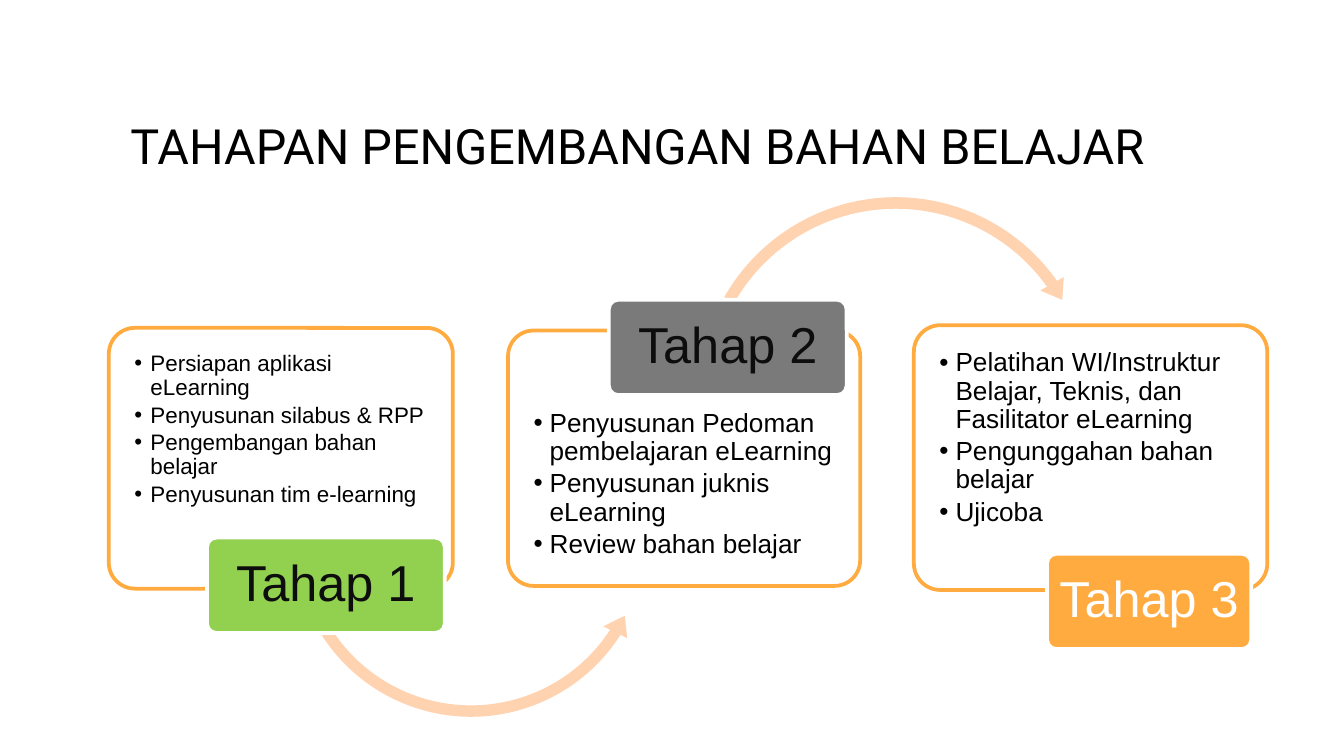
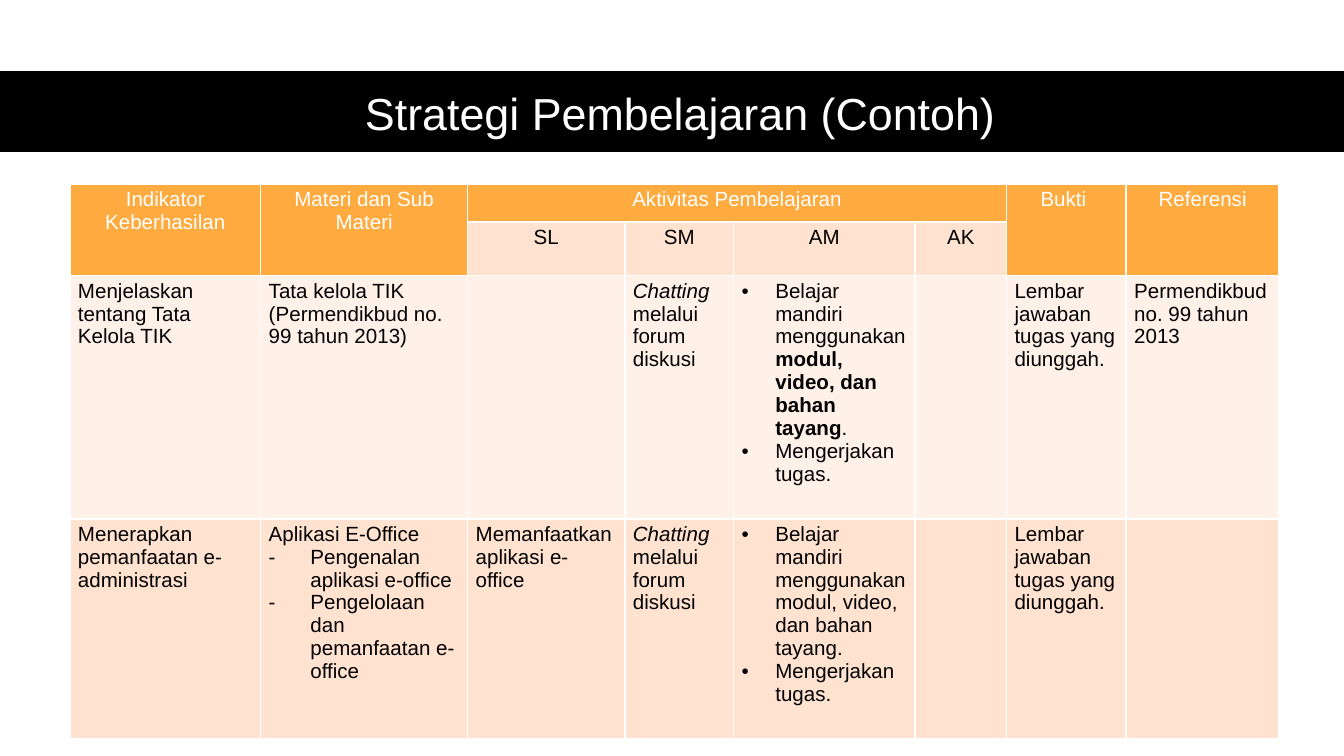
from collections import namedtuple

from lxml import etree
from pptx import Presentation
from pptx import util as u
from pptx.dml.color import RGBColor
from pptx.enum import shapes, text
from pptx.oxml import ns

BLACK, WHITE, ORANGE = "000000", "FFFFFF", "FFAB40"
PEACH, LIGHT_PEACH, PALE_PEACH = "FFD2B0", "FFE2CF", "FFF1E8"
INK, GRAY, GREEN = "0D0D0D", "7A7A7A", "92D050"

Arrow = namedtuple("Arrow", "kind offset size adjustments")
Card = namedtuple("Card", "box size list_top items label label_box label_fill label_color arrow")
Bullet = namedtuple("Bullet", "mark indent runs")


# Shared helpers
def color(hex_value):
    return RGBColor.from_string(hex_value)


def inches(*lengths):
    return [u.Inches(length) for length in lengths]


def child(parent, tag, **attributes):
    return etree.SubElement(parent, ns.qn(tag), **attributes)


def add_solid(parent, hex_value):
    child(child(parent, "a:solidFill"), "a:srgbClr", val=hex_value)


def set_bullet(paragraph, mark, indent):
    properties = paragraph._p.get_or_add_pPr()
    properties.set("marL", str(u.Inches(indent)))
    properties.set("indent", str(-u.Inches(indent)))
    child(child(properties, "a:buClr"), "a:srgbClr", val=BLACK)
    child(properties, "a:buFont", typeface="Arial")
    child(properties, "a:buChar", char=mark)


def set_font(paragraph, size, hex_value, name="Arial"):
    for run in paragraph.runs:
        run.font.size = u.Pt(size)
        run.font.name = name
        run.font.color.rgb = color(hex_value)


def set_frame(frame, side, top, anchor):
    frame.margin_left = frame.margin_right = u.Inches(side)
    frame.margin_top = frame.margin_bottom = u.Inches(top)
    frame.vertical_anchor = anchor
    frame.word_wrap = True
    frame.auto_size = text.MSO_AUTO_SIZE.NONE


def add_shape(slide, kind, box, fill, line=None, adjustments=()):
    shape = slide.shapes.add_shape(kind, *inches(*box))
    shape.shadow.inherit = False
    shape.fill.solid()
    shape.fill.fore_color.rgb = color(fill)
    if line:
        shape.line.color.rgb = color(line)
        shape.line.width = u.Pt(2)
    else:
        shape.line.fill.background()
    for index, value in enumerate(adjustments):
        shape.adjustments[index] = value
    return shape


def add_title_slide(presentation, title, box, size, hex_value, font, align, anchor, margins):
    slide = presentation.slides.add_slide(presentation.slide_layouts[5])
    shape = slide.shapes.title
    shape.left, shape.top, shape.width, shape.height = inches(*box)
    frame = shape.text_frame
    frame.text = title
    set_frame(frame, *margins, anchor)
    frame.paragraphs[0].alignment = align
    set_font(frame.paragraphs[0], size, hex_value, font)
    return slide


# Stage cards
ROUND = shapes.MSO_SHAPE.ROUNDED_RECTANGLE
CARDS = [
    Card((0.81, 2.44, 2.56, 1.94), 12, 0.04,
         ["Persiapan aplikasi eLearning", "Penyusunan silabus & RPP",
          "Pengembangan bahan belajar", "Penyusunan tim e-learning"],
         "Tahap 1", (0.73, 1.56, 1.77), GREEN, INK,
         Arrow(shapes.MSO_SHAPE.LEFT_CIRCULAR_ARROW, (1.32, 0.2), 2.75,
               (0.031, 3.807, 19.634, 88.317, 0.036))),
    Card((3.78, 2.46, 2.62, 1.9), 14, 0.45,
         ["Penyusunan Pedoman pembelajaran eLearning",
          "Penyusunan juknis eLearning", "Review bahan belajar"],
         "Tahap 2", (0.75, -0.23, 1.77), GRAY, INK,
         Arrow(shapes.MSO_SHAPE.CIRCULAR_ARROW, (1.36, -1.05), 3.05,
               (0.028, 3.414, 194.827, 125.751, 0.033))),
    Card((6.8, 2.42, 2.63, 1.97), 14, 0.04,
         ["Pelatihan WI/Instruktur Belajar, Teknis, dan Fasilitator eLearning",
          "Pengunggahan bahan belajar", "Ujicoba"],
         "Tahap 3", (0.99, 1.7, 1.52), ORANGE, WHITE, None),
]


def add_card(slide, card):
    left, top, width, height = card.box
    panel = add_shape(slide, ROUND, card.box, WHITE, ORANGE, [0.1])
    fill_color = panel.element.spPr.find(ns.qn("a:solidFill"))[0]
    child(fill_color, "a:alpha", val="90000")

    # Bulleted tasks
    list_box = inches(left + 0.05, top + card.list_top, width - 0.09, height - 0.5)
    frame = slide.shapes.add_textbox(*list_box).text_frame
    set_frame(frame, 0.14, 0.14, text.MSO_ANCHOR.TOP)
    frame.text = "\n".join(card.items)
    for paragraph in frame.paragraphs:
        paragraph.level = 1
        set_bullet(paragraph, "•", 0.12)
        paragraph.line_spacing = 0.9
        paragraph.space_after = u.Pt(card.size * 0.15)
        set_font(paragraph, card.size, BLACK)

    # Arrow to the next stage, under the label
    if card.arrow:
        kind, (right, down), size, adjustments = card.arrow
        add_shape(slide, kind, (left + right, top + down, size, size), PEACH,
                  adjustments=adjustments)

    right, down, label_width = card.label_box
    label = add_shape(slide, ROUND, (left + right, top + down, label_width, 0.71),
                      card.label_fill, WHITE, [0.1])
    frame = label.text_frame
    set_frame(frame, 0.06, 0.04, text.MSO_ANCHOR.MIDDLE)
    frame.word_wrap = False
    frame.text = card.label
    paragraph = frame.paragraphs[0]
    paragraph.alignment = text.PP_ALIGN.CENTER
    paragraph.line_spacing = 0.9
    set_font(paragraph, 27, card.label_color)


def build_stages(presentation):
    slide = add_title_slide(
        presentation, "TAHAPAN PENGEMBANGAN BAHAN BELAJAR", (0.87, 0.76, 8.26, 0.63),
        26, BLACK, "Roboto", text.PP_ALIGN.LEFT, text.MSO_ANCHOR.TOP, (0.1, 0.1))
    for card in CARDS:
        add_card(slide, card)


# Strategy table: a cell is a list of strings and bullets
COLUMN_WIDTHS = [1.42, 1.54, 1.17, 0.81, 1.35, 0.68, 0.89, 1.14]
ROW_HEIGHTS = [0.28, 0.28, 1.81, 1.64]
ROW_FILLS = [ORANGE, LIGHT_PEACH, PALE_PEACH, LIGHT_PEACH]
MERGES = [(0, 0, 1, 0), (0, 1, 1, 1), (0, 2, 0, 5), (0, 6, 1, 6), (0, 7, 1, 7)]
CHAT = [Bullet(None, 0, [("Chatting ", "italic"), ("melalui forum diskusi", None)])]
TASK = Bullet("•", 0.25, [("Mengerjakan tugas.", None)])
PROOF = ["Lembar jawaban tugas yang diunggah."]
ROWS = [
    [["Indikator Keberhasilan"], ["Materi dan Sub Materi"], ["Aktivitas Pembelajaran"],
     [], [], [], ["Bukti "], ["Referensi"]],
    [[], [], ["SL"], ["SM"], ["AM"], ["AK"], [], []],
    [["Menjelaskan tentang Tata Kelola TIK"],
     ["Tata kelola TIK (Permendikbud no. 99 tahun 2013)"], [], CHAT,
     [Bullet("•", 0.25, [("Belajar mandiri menggunakan ", None),
                         ("modul, video, dan bahan tayang", "bold"), (".", None)]), TASK],
     [], PROOF, ["Permendikbud no. 99 tahun 2013"]],
    [["Menerapkan pemanfaatan e-administrasi"],
     ["Aplikasi E-Office", Bullet("-", 0.31, [("Pengenalan aplikasi e-office", None)]),
      Bullet("-", 0.31, [("Pengelolaan dan pemanfaatan e-office", None)])],
     ["Memanfaatkan aplikasi e-office"], CHAT,
     [Bullet("•", 0.25, [("Belajar mandiri menggunakan modul, video, dan bahan tayang.",
                          None)]), TASK],
     [], PROOF, []],
]


def set_borders(cell):
    properties = cell._tc.get_or_add_tcPr()
    for side in "LRTB":
        line = child(properties, f"a:ln{side}", w=str(u.Pt(1)))
        add_solid(line, WHITE)


def fill_cell(cell, content, hex_value, align):
    cell.margin_left = cell.margin_right = u.Inches(0.06)
    cell.margin_top = cell.margin_bottom = u.Inches(0.03)
    frame = cell.text_frame
    for index, item in enumerate(content):
        paragraph = frame.add_paragraph() if index else frame.paragraphs[0]
        paragraph.alignment = align
        if isinstance(item, str):
            paragraph.text = item
        else:
            if item.mark:
                set_bullet(paragraph, item.mark, item.indent)
            for words, style in item.runs:
                run = paragraph.add_run()
                run.text = words
                run.font.bold = style == "bold"
                run.font.italic = style == "italic"
        set_font(paragraph, 11, hex_value)


def add_strategy_table(slide, left, top):
    box = inches(left, top, sum(COLUMN_WIDTHS), sum(ROW_HEIGHTS))
    table = slide.shapes.add_table(len(ROWS), len(COLUMN_WIDTHS), *box).table
    table.first_row = table.horz_banding = False
    for column, width in zip(table.columns, COLUMN_WIDTHS):
        column.width = u.Inches(width)
    for row, height in zip(table.rows, ROW_HEIGHTS):
        row.height = u.Inches(height)
    for first_row, first_column, last_row, last_column in MERGES:
        table.cell(first_row, first_column).merge(table.cell(last_row, last_column))

    for row_index, row in enumerate(ROWS):
        header = row_index == 0
        align = text.PP_ALIGN.CENTER if row_index < 2 else text.PP_ALIGN.LEFT
        for column_index, content in enumerate(row):
            cell = table.cell(row_index, column_index)
            set_borders(cell)
            cell.fill.solid()
            fill = ORANGE if cell.is_spanned else ROW_FILLS[row_index]
            cell.fill.fore_color.rgb = color(fill)
            if not cell.is_spanned:
                fill_cell(cell, content, WHITE if header else BLACK, align)


def build_strategy(presentation):
    slide = add_title_slide(
        presentation, "Strategi Pembelajaran (Contoh)", (0.46, 0.53, 9.2, 0.61),
        24, WHITE, "Arial", text.PP_ALIGN.CENTER, text.MSO_ANCHOR.MIDDLE, (0.07, 0.04))
    band = add_shape(slide, shapes.MSO_SHAPE.RECTANGLE, (0, 0.53, 10, 0.6), BLACK)
    slide.shapes.title.element.addprevious(band.element)
    add_strategy_table(slide, 0.52, 1.37)


def main():
    presentation = Presentation()
    # Widescreen, 16 to 9
    presentation.slide_width = u.Inches(10)
    presentation.slide_height = u.Inches(10) * 9 // 16
    build_stages(presentation)
    build_strategy(presentation)
    presentation.save("out.pptx")


if __name__ == "__main__":
    main()
